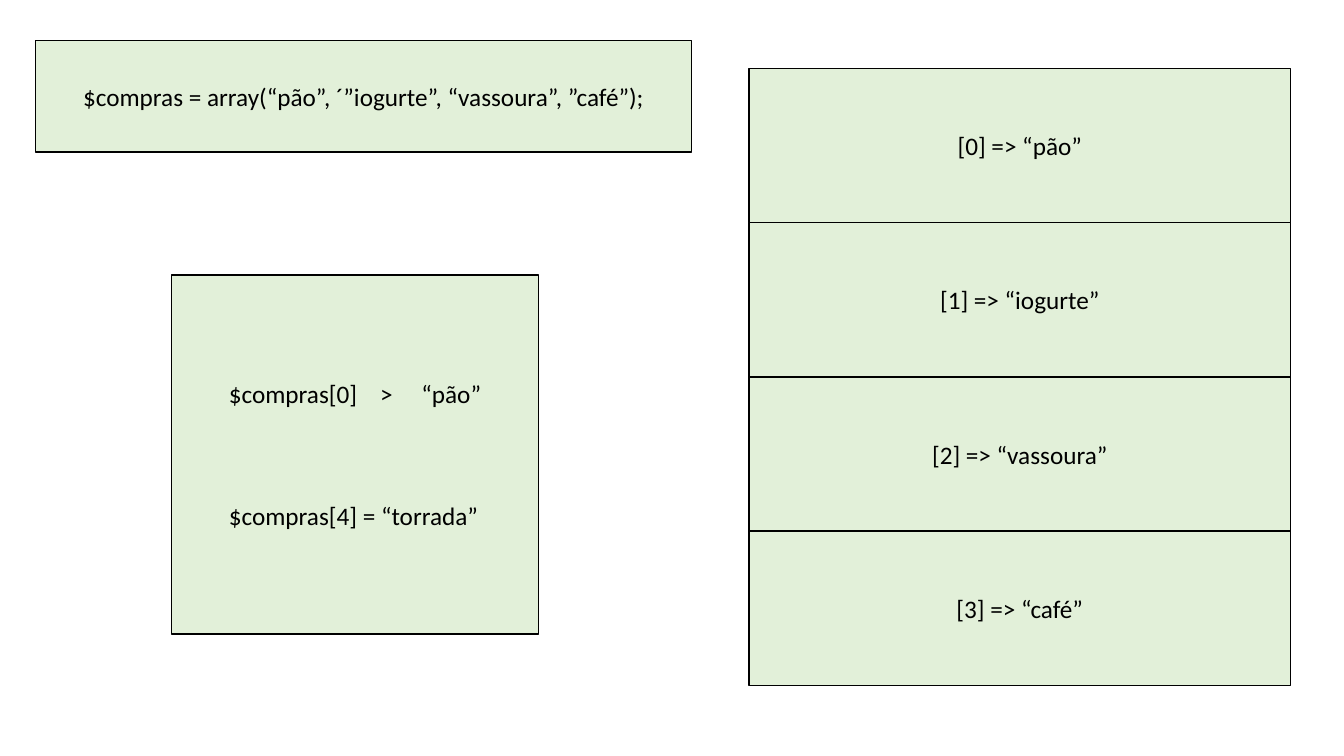
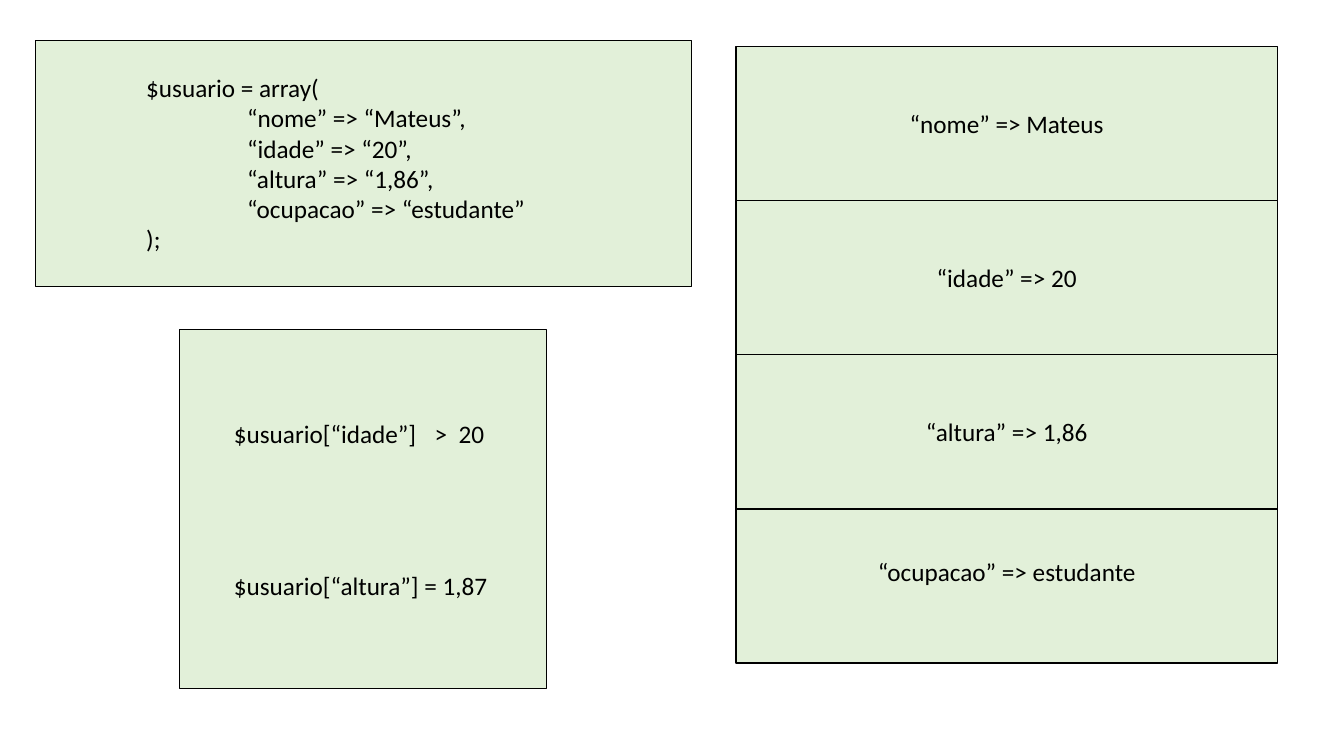
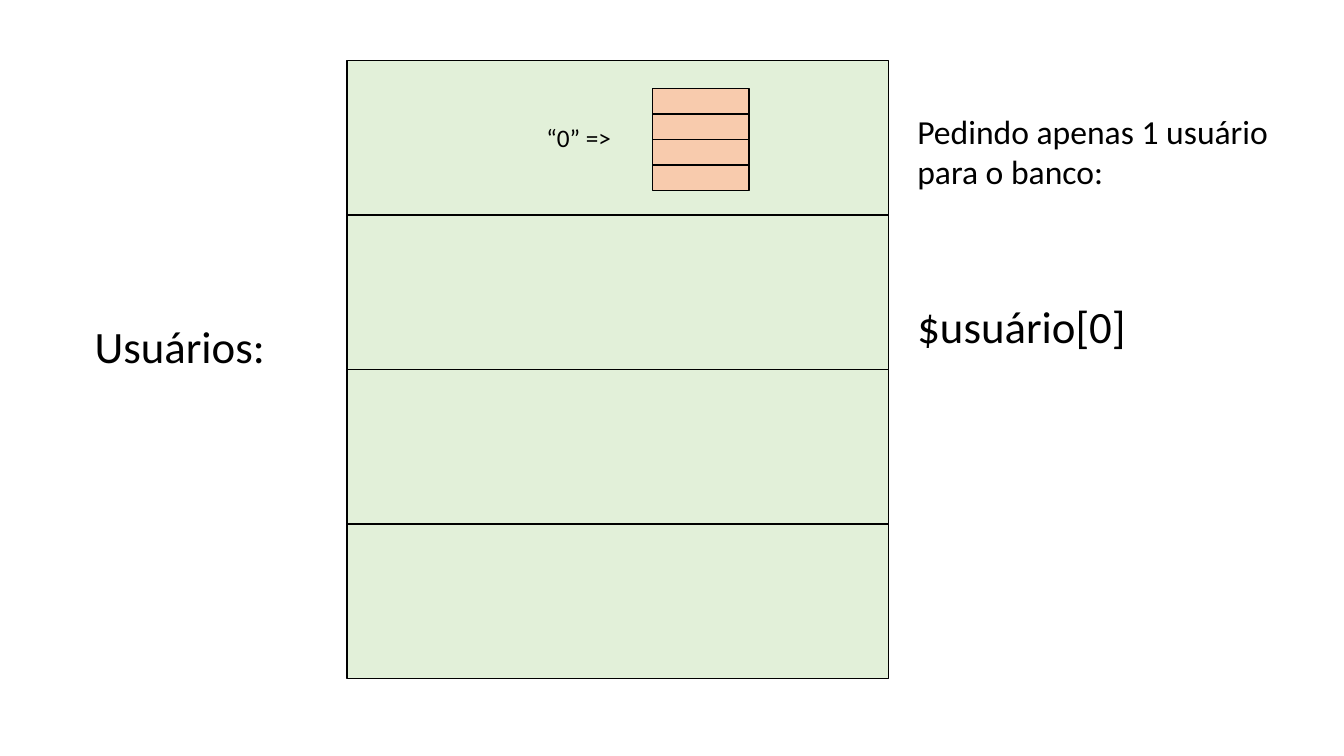
from dataclasses import dataclass, field

from lxml import etree
from pptx import Presentation
from pptx.dml.color import RGBColor
from pptx.enum.shapes import MSO_SHAPE
from pptx.enum.text import MSO_ANCHOR, MSO_AUTO_SIZE, PP_ALIGN
from pptx.oxml.ns import qn
from pptx.util import Inches, Pt

RECTANGLE = MSO_SHAPE.RECTANGLE
MIDDLE, TOP = MSO_ANCHOR.MIDDLE, MSO_ANCHOR.TOP
GROW = MSO_AUTO_SIZE.SHAPE_TO_FIT_TEXT
LEFT, CENTER = PP_ALIGN.LEFT, PP_ALIGN.CENTER

# Shared look
FONT = "Calibri"
GREEN, ORANGE, BLACK = "E2F0D9", "F8CBAD", "000000"
STACK_WIDTH, STACK_HEIGHT = 5.37, 6.12
CODE_LEFT, CODE_TOP, CODE_WIDTH = 0.35, 0.4, 6.51
EXAMPLE_WIDTH, EXAMPLE_HEIGHT = 3.64, 3.56


@dataclass
class Line:
    text: str
    size: float = 18
    space_before: float = 0
    tabs: tuple[float, ...] = ()


@dataclass
class Box:
    left: float
    top: float
    width: float
    height: float
    lines: list[Line] = field(default_factory=list)
    fill: str = GREEN
    align: PP_ALIGN = CENTER
    margins: dict[str, float] = field(default_factory=dict)


def color(value: str) -> RGBColor:
    return RGBColor.from_string(value)


def add_tab_stops(paragraph, positions: tuple[float, ...]) -> None:
    # The tab list has to stand before the default run properties
    properties = paragraph._p.get_or_add_pPr()
    tab_list = etree.Element(qn("a:tabLst"))
    for position in positions:
        etree.SubElement(tab_list, qn("a:tab"), pos=str(Inches(position)), algn="l")
    properties.find(qn("a:defRPr")).addprevious(tab_list)


def write_lines(text_frame, lines: list[Line], align: PP_ALIGN) -> None:
    for index, line in enumerate(lines):
        paragraph = text_frame.add_paragraph() if index else text_frame.paragraphs[0]
        paragraph.text = line.text
        paragraph_format = {"alignment": align, "space_before": Pt(line.space_before)}
        for name, value in paragraph_format.items():
            setattr(paragraph, name, value)
        for name, value in {"name": FONT, "size": Pt(line.size)}.items():
            setattr(paragraph.font, name, value)
        paragraph.font.color.rgb = color(BLACK)
        if line.tabs:
            add_tab_stops(paragraph, line.tabs)


def add_box(slide, box: Box) -> None:
    shape = slide.shapes.add_shape(
        RECTANGLE, Inches(box.left), Inches(box.top), Inches(box.width), Inches(box.height)
    )
    shape.shadow.inherit = False
    shape.fill.solid()
    shape.fill.fore_color.rgb = color(box.fill)
    shape.line.color.rgb = color(BLACK)
    shape.line.width = Pt(1)
    frame_format = {"word_wrap": True, "vertical_anchor": MIDDLE}
    frame_format |= {f"margin_{side}": Inches(size) for side, size in box.margins.items()}
    for name, value in frame_format.items():
        setattr(shape.text_frame, name, value)
    write_lines(shape.text_frame, box.lines, box.align)


def add_label(slide, left: float, top: float, width: float, height: float,
              lines: list[Line]) -> None:
    label = slide.shapes.add_textbox(Inches(left), Inches(top), Inches(width), Inches(height))
    frame_format = {"word_wrap": True, "vertical_anchor": TOP, "auto_size": GROW}
    for name, value in frame_format.items():
        setattr(label.text_frame, name, value)
    write_lines(label.text_frame, lines, LEFT)


def add_stack(slide, left: float, top: float, texts: list[str],
              width: float = STACK_WIDTH, height: float = STACK_HEIGHT, fill: str = GREEN,
              margins: dict[int, dict[str, float]] | None = None) -> None:
    """Draw touching rows of equal height; margins are keyed by row."""
    row_height = height / len(texts)
    for row, text in enumerate(texts):
        lines = [Line(text)] if text else []
        row_margins = (margins or {}).get(row, {})
        add_box(slide, Box(left, top + row * row_height, width, row_height, lines, fill,
                           margins=row_margins))


def add_example(slide, left: float, top: float, lines: list[Line], indent: float) -> None:
    add_box(slide, Box(left, top, EXAMPLE_WIDTH, EXAMPLE_HEIGHT, lines, align=LEFT,
                       margins={"left": indent}))


def build_indexed_array(slide) -> None:
    code = "$compras = array(“pão”, ´”iogurte”, “vassoura”, ”café”);"
    add_box(slide, Box(CODE_LEFT, CODE_TOP, CODE_WIDTH, 1.11, [Line(code)]))
    items = ["pão", "iogurte", "vassoura", "café"]
    add_stack(slide, 7.43, 0.68, [f"[{index}] => “{item}”" for index, item in enumerate(items)])
    add_example(slide, 1.7, 2.73, [
        Line("$compras[0]\t>\t“pão”", tabs=(1.5, 1.91)),
        Line("$compras[4] = “torrada”", space_before=65.5),
    ], indent=0.57)


def build_associative_array(slide) -> None:
    user = {"nome": "Mateus", "idade": "20", "altura": "1,86", "ocupacao": "estudante"}
    add_stack(slide, 7.3, 0.46, [f"“{key}” => {value}" for key, value in user.items()],
              margins={3: {"bottom": 0.35}})
    entries = ",\n".join(f"\t“{key}” => “{value}”" for key, value in user.items())
    code = f"$usuario = array(\n{entries}\n);"
    add_box(slide, Box(CODE_LEFT, CODE_TOP, CODE_WIDTH, 2.44,
                       [Line(text, tabs=(1,)) for text in code.split("\n")],
                       align=LEFT, margins={"left": 1.1}))
    add_example(slide, 1.78, 3.27, [
        Line("$usuario[“idade”]\t>\t20", tabs=(1.99, 2.23)),
        Line("$usuario[“altura”] = 1,87", space_before=87),
    ], indent=0.54)


def build_nested_array(slide) -> None:
    add_stack(slide, 3.44, 0.6, ["“0” =>", "", "", ""], height=6.13,
              margins={0: {"right": 0.87}})
    add_stack(slide, 6.47, 0.88, [""] * 4, width=0.96, height=1.01, fill=ORANGE)
    add_label(slide, 0.84, 3.11, 3.22, 0.64, [Line("Usuários:", 32)])
    add_label(slide, 9, 1.05, 4.06, 2.52, [
        Line("Pedindo apenas 1 usuário para o banco:", 24),
        Line("$usuário[0]", 32, space_before=76.5),
    ])


def main() -> None:
    presentation = Presentation()
    presentation.slide_width = Inches(13.33)
    presentation.slide_height = Inches(7.5)
    blank_layout = presentation.slide_layouts[6]
    for build in (build_indexed_array, build_associative_array, build_nested_array):
        build(presentation.slides.add_slide(blank_layout))
    presentation.save("out.pptx")


if __name__ == "__main__":
    main()
